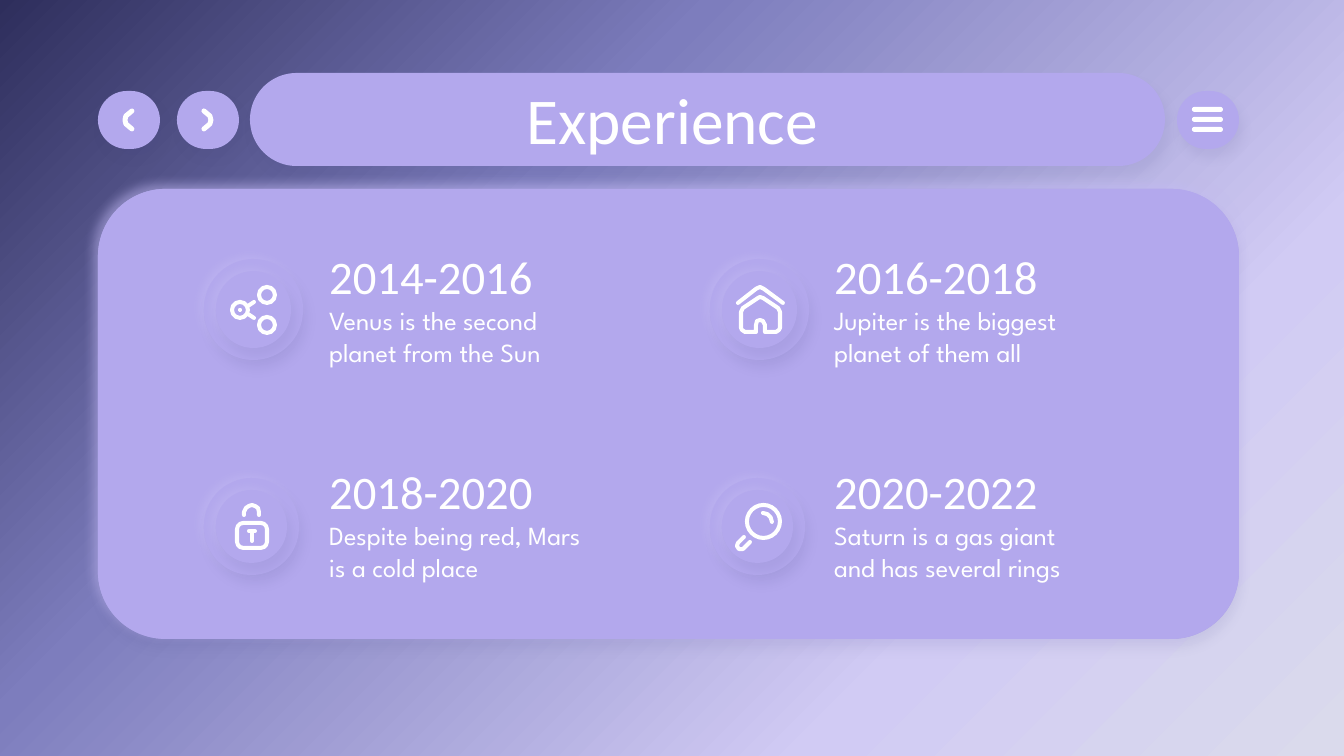
from copy import deepcopy

from lxml.etree import SubElement
from pptx import Presentation
from pptx.dml.color import RGBColor
from pptx.enum.shapes import MSO_CONNECTOR, MSO_SHAPE
from pptx.enum.text import MSO_ANCHOR, PP_ALIGN
from pptx.oxml.ns import qn
from pptx.util import Pt

PX = 914400 / 134.4
COLORS = {"lilac": "B3A8ED", "white": "FFFFFF", "dark": "3E3E7A", "glow": "C4BBF5"}
# colour, opacity %, distance in pt, direction in degrees
DARK = ("dark", 8, 5.2, 66)
PANEL_DARK = ("dark", 8, 5.2, 84)
GLOW = ("glow", 52, 3, 226)

presentation = Presentation()
presentation.slide_width = round(1344 * PX)
presentation.slide_height = round(756 * PX)
slide = presentation.slides.add_slide(presentation.slide_layouts[6])
shapes = slide.shapes


def add_rounded(box, shadow=None, color="lilac", corner=0.5):
    shape = shapes.add_shape(MSO_SHAPE.ROUNDED_RECTANGLE, *[round(v * PX) for v in box])
    shape.adjustments[0] = corner
    shape.fill.solid()
    shape.fill.fore_color.rgb = RGBColor.from_string(COLORS[color])
    shape.line.fill.background()
    shape.shadow.inherit = False
    if shadow:
        name, opacity, distance, direction = shadow
        effects = shape.element.spPr.find(qn("a:effectLst"))
        outer = SubElement(effects, qn("a:outerShdw"), blurRad=str(Pt(5.6)),
                           dist=str(Pt(distance)), dir=str(direction * 60000),
                           algn="bl", rotWithShape="0")
        tint = SubElement(outer, qn("a:srgbClr"), val=COLORS[name])
        SubElement(tint, qn("a:alpha"), val=str(opacity * 1000))


def outline(shape, width=4):
    shape.line.color.rgb = RGBColor.from_string(COLORS["white"])
    shape.line.width = round(width * PX)
    properties = shape.element.spPr
    line = properties.find(qn("a:ln"))
    line.set("cap", "rnd")
    SubElement(line, qn("a:round"))
    if hasattr(shape, "fill"):
        shape.fill.background()
        shape.shadow.inherit = False
    else:
        SubElement(properties, qn("a:effectLst"))


# Background gradient
fill = slide.background.fill
fill.gradient()
fill.gradient_angle = 315
stops = slide.element.find(".//" + qn("a:gsLst"))
for _ in range(2):
    stops.append(deepcopy(stops[0]))
gradient = [(0, "2E2E5C"), (0.34, "7D7DBD"), (0.74, "D1CBF4"), (1, "DADAEC")]
for stop, (position, color) in zip(fill.gradient_stops, gradient):
    stop.position = position
    stop.color.rgb = RGBColor.from_string(color)

# Title bar, menu button and panel
add_rounded((250, 73, 915, 93), DARK)
add_rounded((1177, 91, 62, 58), DARK)
for row in range(3):
    add_rounded((1192, 107 + 10 * row, 31, 5), color="white")
for shadow in (GLOW, PANEL_DARK):
    add_rounded((98, 189, 1141, 450), shadow, corner=0.15)

# Badges and texts of the four periods
texts = [("Experience", (106, 66, 1133, 85), 35, "Calibri", PP_ALIGN.CENTER)]
periods = [
    ("2014-2016", "Venus is the second planet from the Sun"),
    ("2016-2018", "Jupiter is the biggest planet of them all"),
    ("2018-2020", "Despite being red, Mars is a cold place"),
    ("2020-2022", "Saturn is a gas giant and has several rings"),
]
for index, (years, description) in enumerate(periods):
    row, column = divmod(index, 2)
    left, top, size = 204 + 506 * column, 261 + 219 * row, 99 - 4 * row
    for inset in (0, 12):
        side = size - 2 * inset
        add_rounded((left + inset, top + inset, side, side), GLOW)
        add_rounded((left + inset, top + inset - 2, side, side + 2), DARK)
    text_left, text_top = 316 + 505 * column, 234 + 215 * row
    texts.append((years, (text_left, text_top, 313, 78), 25, "Calibri", PP_ALIGN.LEFT))
    texts.append((description, (text_left, text_top + 57, 290, 98), 14,
                  "League Spartan", PP_ALIGN.LEFT))

for text, box, size, font_name, alignment in texts:
    frame = shapes.add_textbox(*[round(v * PX) for v in box]).text_frame
    frame.word_wrap = True
    frame.vertical_anchor = MSO_ANCHOR.TOP
    frame.margin_left = frame.margin_right = Pt(7.2)
    frame.margin_top = frame.margin_bottom = Pt(7.2)
    paragraph = frame.paragraphs[0]
    paragraph.alignment = alignment
    if font_name == "League Spartan":
        paragraph.line_spacing = Pt(17)
    run = paragraph.add_run()
    run.text = text
    run.font.size = Pt(size)
    run.font.name = font_name
    run.font.color.rgb = RGBColor.from_string(COLORS["white"])

# Navigation buttons
for left in (98, 177):
    add_rounded((left, 91, 62, 58), DARK)

# Icon parts from preset shapes: share rings, lens, glint, lock body
presets = [
    (MSO_SHAPE.OVAL, (259, 287, 16, 16)),
    (MSO_SHAPE.OVAL, (259, 317, 16, 16)),
    (MSO_SHAPE.OVAL, (232, 302, 16, 16)),
    (MSO_SHAPE.OVAL, (747, 505, 33, 33)),
    (MSO_SHAPE.ARC, (754, 513, 18, 18)),
    (MSO_SHAPE.ROUNDED_RECTANGLE, (237, 523, 30, 25)),
]
for kind, box in presets:
    shape = shapes.add_shape(kind, *[round(v * PX) for v in box])
    if kind == MSO_SHAPE.ROUNDED_RECTANGLE:
        shape.adjustments[0] = 0.25
    outline(shape)
add_rounded((238, 308, 4, 4), color="white")

# Straight icon strokes: share arms, letter T on the lock
for ends in [(248, 306, 254, 302), (248, 314, 254, 318),
             (249, 531, 255, 531), (252, 531, 252, 541)]:
    outline(shapes.add_connector(MSO_CONNECTOR.STRAIGHT, *[round(v * PX) for v in ends]))

# Bent icon strokes: points, closed, width
shackle = [(244, 515), (244, 512), (246, 508), (249, 506), (252, 505),
           (255, 506), (258, 508), (259, 512), (259, 515)]
roof = [(738, 303), (756, 289), (760, 287), (764, 289), (783, 303)]
house = [(756, 332), (745, 332), (742, 330), (741, 328), (741, 312), (743, 308),
         (758, 298), (760, 297), (763, 298), (778, 308), (780, 312), (780, 328),
         (779, 330), (776, 332), (765, 332), (765, 325), (763, 321), (760, 320),
         (757, 321), (756, 325)]
handle = [(744, 537), (738, 543), (737, 546), (739, 549), (743, 549), (750, 542)]
next_arrow = [(204, 111), (210, 116), (211, 120), (210, 124), (204, 129)]
back_arrow = [(336 - x, y) for x, y in next_arrow]
strokes = [(shackle, False, 4), (roof, False, 4), (house, True, 4),
           (handle, False, 4), (next_arrow, False, 5), (back_arrow, False, 5)]
for points, closed, width in strokes:
    builder = shapes.build_freeform(*points[0], scale=PX)
    builder.add_line_segments(points[1:], close=closed)
    outline(builder.convert_to_shape(), width)

presentation.save("out.pptx")
